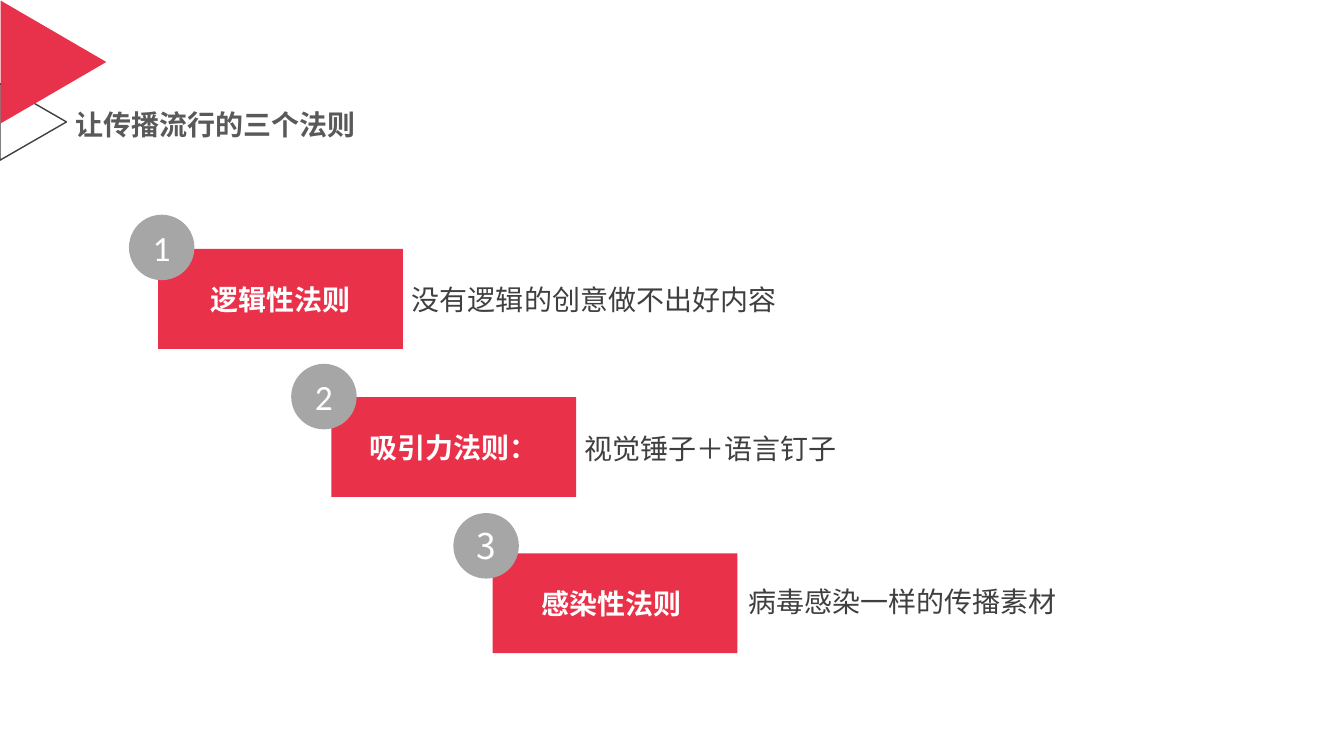
from pptx import Presentation
from pptx import util as u
from pptx.dml.color import RGBColor
from pptx.enum import shapes, text
from pptx.oxml.ns import qn
from lxml import etree

RED = RGBColor(0xE8, 0x31, 0x4A)
CARD_RED = RGBColor(0xE9, 0x31, 0x4A)
GREY = RGBColor(0xA6, 0xA6, 0xA6)
OUTLINE = RGBColor(0x40, 0x40, 0x40)
TITLE = RGBColor(0x59, 0x59, 0x59)
BODY = RGBColor(0x3F, 0x3F, 0x3F)
WHITE = RGBColor(0xFF, 0xFF, 0xFF)

CJK, LATIN = "Noto Sans CJK SC", "Calibri"
CELL = u.Inches(0.1)  # side of one grid column or row
COLS, ROWS = 133.4, 75


class Deck:
    """Style and current slide; lengths are grid columns and rows."""

    def __init__(self):
        self.prs = Presentation()
        self.prs.slide_width, self.prs.slide_height = self.grid(COLS, ROWS)
        self.slide = self.prs.slides.add_slide(self.prs.slide_layouts[6])

    def grid(self, *cells):
        return [u.Emu(round(c * CELL)) for c in cells]

    def shape(self, kind, box, fill=None, line=None, rotation=0):
        sp = self.slide.shapes.add_shape(kind, *self.grid(*box))
        sp.shadow.inherit = False
        sp.rotation = rotation
        if fill is None:
            sp.fill.background()
        else:
            sp.fill.solid()
            sp.fill.fore_color.rgb = fill
        if line is None:
            sp.line.fill.background()
        else:
            sp.line.color.rgb = line
            sp.line.width = u.Pt(1)
        return sp

    def set_text(self, sp, words, color, size=20, font=CJK, bold=False,
                 align=text.PP_ALIGN.LEFT, spacing=None, margin=None, **frame):
        tf = sp.text_frame
        if margin is not None:
            sides = ("left", "top", "right", "bottom")
            frame.update({f"margin_{side}": u.Inches(margin) for side in sides})
        for name, value in frame.items():
            setattr(tf, name, value)
        p = tf.paragraphs[0]
        p.alignment, p.line_spacing = align, spacing
        r = p.add_run()
        r.text = words
        for name, value in dict(name=font, size=u.Pt(size), bold=bold).items():
            setattr(r.font, name, value)
        r.font.color.rgb = color
        etree.SubElement(r.font._element, qn("a:ea")).set("typeface", font)

    def label(self, box, words, color, **fmt):
        sp = self.slide.shapes.add_textbox(*self.grid(*box))
        fmt = {"word_wrap": True, **fmt}
        self.set_text(sp, words, color, auto_size=text.MSO_AUTO_SIZE.SHAPE_TO_FIT_TEXT, **fmt)

    def card(self, left, top, words):
        sp = self.shape(shapes.MSO_SHAPE.RECTANGLE, (left, top, 24.3, 9.9), CARD_RED)
        self.set_text(sp, words, WHITE, bold=True, align=text.PP_ALIGN.CENTER,
                      vertical_anchor=text.MSO_ANCHOR.MIDDLE)

    def badge(self, left, top, number, font):
        sp = self.shape(shapes.MSO_SHAPE.OVAL, (left, top, 6.5, 6.5), GREY)
        self.set_text(sp, number, WHITE, size=25.3, font=font, margin=0,
                      align=text.PP_ALIGN.CENTER, word_wrap=False,
                      vertical_anchor=text.MSO_ANCHOR.MIDDLE)


def main():
    deck = Deck()

    # Corner triangles
    triangle = shapes.MSO_SHAPE.ISOSCELES_TRIANGLE
    deck.shape(triangle, (-0.5, 8.8, 7.6, 6.6), line=OUTLINE, rotation=90)
    deck.shape(triangle, (-0.8, 0.9, 12.2, 10.5), fill=RED, rotation=90)

    # Title
    deck.label((7, 10.5, 29.8, 4.1), "让传播流行的三个法则", TITLE, bold=True,
               spacing=0.9, margin=0.05, word_wrap=False,
               vertical_anchor=text.MSO_ANCHOR.MIDDLE)

    # Three rules: card corner, card text, note box, note text, badge font
    rules = [
        (15.7, 24.7, "逻辑性法则", (39.9, 27.5, 43.8, 4.4), "没有逻辑的创意做不出好内容", LATIN),
        (32.9, 39.4, "吸引力法则：", (57, 42.3, 32.3, 4.4), "视觉锤子＋语言钉子", LATIN),
        (48.9, 54.9, "感染性法则 ", (73.3, 57.5, 36, 4.4), "病毒感染一样的传播素材", CJK),
    ]
    for i, (left, top, name, note_box, note, font) in enumerate(rules):
        deck.card(left, top, name)
        deck.label(note_box, note, BODY)
        deck.badge(12.8 + 16.1 * i, 21.3 + 14.8 * i, str(i + 1), font)

    deck.prs.save("out.pptx")


if __name__ == "__main__":
    main()
